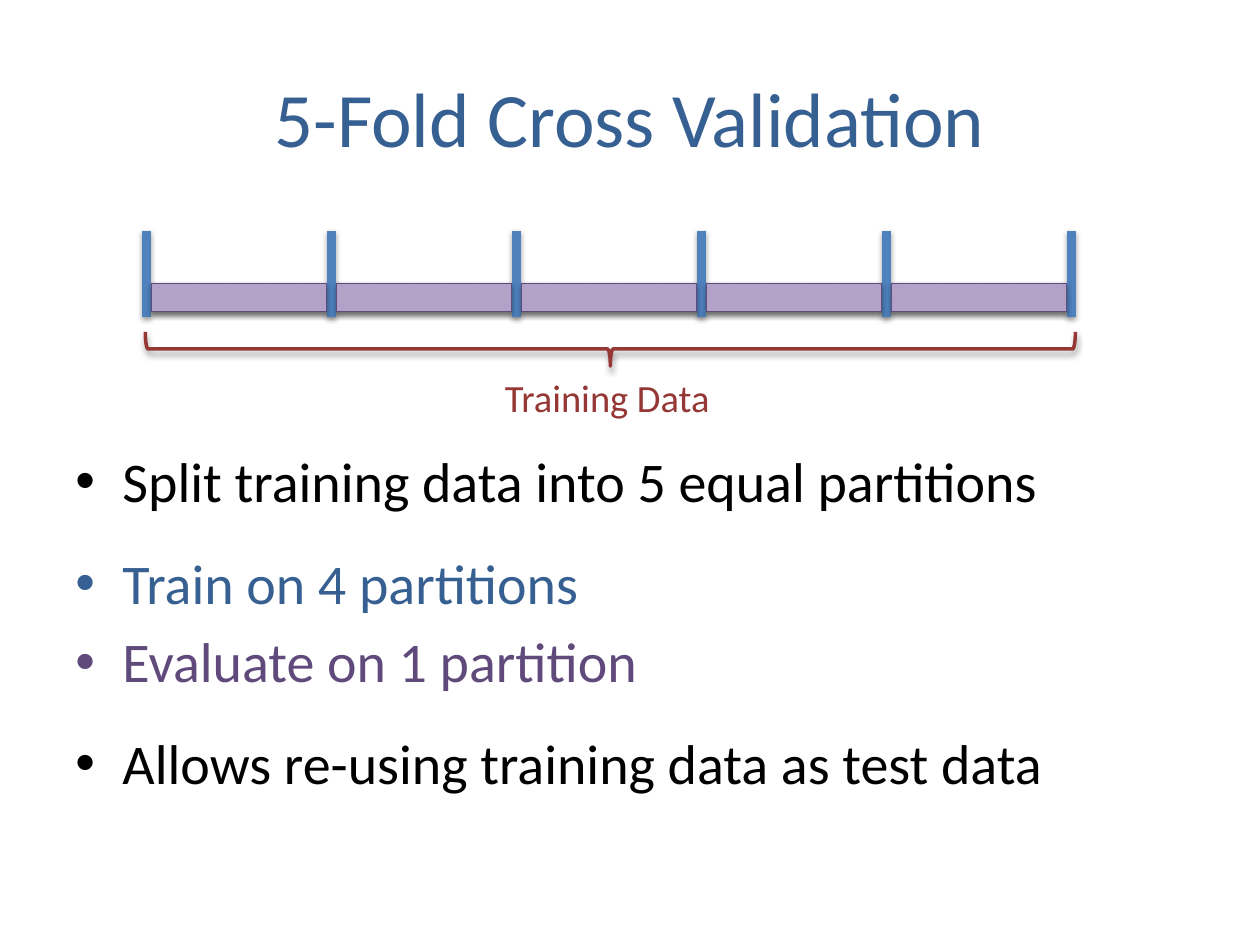
"""Build a slide that explains 5-fold cross validation."""
from dataclasses import dataclass

from lxml import etree
from pptx import Presentation
from pptx.dml.color import RGBColor
from pptx.enum.shapes import MSO_CONNECTOR, MSO_SHAPE
from pptx.enum.text import MSO_ANCHOR, MSO_AUTO_SIZE, PP_ALIGN
from pptx.oxml.ns import qn
from pptx.util import Cm, Pt

RECT, BRACE = MSO_SHAPE.RECTANGLE, MSO_SHAPE.LEFT_BRACE
STRAIGHT = MSO_CONNECTOR.STRAIGHT
LEFT, CENTER = PP_ALIGN.LEFT, PP_ALIGN.CENTER
TOP, MIDDLE = MSO_ANCHOR.TOP, MSO_ANCHOR.MIDDLE
NO_AUTOFIT, GROW = MSO_AUTO_SIZE.NONE, MSO_AUTO_SIZE.SHAPE_TO_FIT_TEXT

FONT = "Calibri"
BLACK = RGBColor(0x00, 0x00, 0x00)
DARK_BLUE = RGBColor(0x37, 0x60, 0x92)
BLUE = RGBColor(0x4F, 0x81, 0xBD)
BAR_LINE = RGBColor(0x4B, 0x7E, 0xBC)
BAR_FILL = RGBColor(0xB9, 0xCD, 0xE5)
PURPLE = RGBColor(0x60, 0x4A, 0x7B)
LIGHT_PURPLE = RGBColor(0xB3, 0xA2, 0xC7)
RED = RGBColor(0x95, 0x37, 0x35)

FOLDS = 5
AXIS_LEFT, FOLD_STEP = 2.95, 3.73
TICK_TOP, TICK_BOTTOM = 4.65, 6.4
BAR_TOP, BAR_HEIGHT = 5.72, 0.56
BAR_GAP, FOLD_WIDTH = 0.1, 3.53


@dataclass
class Box:
    """A rectangle in centimetres."""
    left: float
    top: float
    width: float
    height: float

    def lengths(self) -> tuple:
        """Return the four lengths for python-pptx."""
        return Cm(self.left), Cm(self.top), Cm(self.width), Cm(self.height)


@dataclass
class Para:
    """A paragraph with its colour and the space before it in points."""
    text: str
    color: RGBColor
    before: float = 0


BULLETS = [
    Para("Split training data into 5 equal partitions", BLACK),
    Para("Train on 4 partitions", DARK_BLUE, 19.8),
    Para("Evaluate on 1 partition", PURPLE, 6.4),
    Para("Allows re-using training data as test data", BLACK, 19.8),
]


def add_shadow(shape, opacity: int, distance: float) -> None:
    """Cast a soft black shadow straight down."""
    effects = etree.SubElement(shape.element.spPr, qn("a:effectLst"))
    shadow = etree.SubElement(
        effects, qn("a:outerShdw"), blurRad=str(Pt(3.1)), dist=str(Pt(distance)),
        dir="5400000", rotWithShape="0")
    color = etree.SubElement(shadow, qn("a:srgbClr"), val="000000")
    etree.SubElement(color, qn("a:alpha"), val=str(opacity * 1000))


def add_bullet(p) -> None:
    """Give a paragraph a hanging round bullet."""
    pPr = p._p.get_or_add_pPr()
    pPr.set("marL", str(Cm(0.95)))
    pPr.set("indent", str(Cm(-0.95)))
    etree.SubElement(pPr, qn("a:buFont"), typeface="Arial")
    etree.SubElement(pPr, qn("a:buChar"), char="•")


def add_text(s, box: Box, paras: list[Para], size: float, align=LEFT, anchor=TOP,
             wrap: bool = True, bullets: bool = False, fit=NO_AUTOFIT) -> None:
    """Add a text box with one format for all its paragraphs."""
    tf = s.shapes.add_textbox(*box.lengths()).text_frame
    tf.word_wrap, tf.vertical_anchor, tf.auto_size = wrap, anchor, fit
    for i, para in enumerate(paras):
        p = tf.paragraphs[0] if i == 0 else tf.add_paragraph()
        p.alignment = align
        p.space_before = Pt(para.before)
        if bullets:
            add_bullet(p)
        r = p.add_run()
        r.text = para.text
        r.font.name, r.font.size = FONT, Pt(size)
        r.font.color.rgb = para.color


def add_bar(s, left: float, width: float, fill: RGBColor, line: RGBColor) -> None:
    """Add a bar on the data axis."""
    sp = s.shapes.add_shape(RECT, *Box(left, BAR_TOP, width, BAR_HEIGHT).lengths())
    sp.fill.solid()
    sp.fill.fore_color.rgb = fill
    sp.line.color.rgb, sp.line.width = line, Pt(0.75)
    add_shadow(sp, 35, 1.8)


def add_tick(s, x: float) -> None:
    """Add a thick upright line between partitions."""
    tick = s.shapes.add_connector(STRAIGHT, Cm(x), Cm(TICK_TOP), Cm(x), Cm(TICK_BOTTOM))
    tick.line.color.rgb, tick.line.width = BLUE, Pt(5)
    add_shadow(tick, 38, 1.6)


def add_brace(s, box: Box) -> None:
    """Add a brace turned to open upwards."""
    sp = s.shapes.add_shape(BRACE, *box.lengths())
    sp.rotation = 270
    sp.fill.background()
    sp.line.color.rgb, sp.line.width = RED, Pt(2)
    add_shadow(sp, 38, 1.6)


def main() -> None:
    """Draw the slide and save it."""
    prs = Presentation()
    prs.slide_width, prs.slide_height = Cm(25.4), Cm(19.05)
    s = prs.slides.add_slide(prs.slide_layouts[6])

    add_text(s, Box(1.27, 0.76, 22.86, 3.18),
             [Para("5-Fold Cross Validation", DARK_BLUE)], 44, align=CENTER, anchor=MIDDLE)
    add_text(s, Box(1.27, 8.88, 22.86, 8.14), BULLETS, 32, bullets=True)

    ticks = [AXIS_LEFT + i * FOLD_STEP for i in range(FOLDS + 1)]
    add_bar(s, AXIS_LEFT + BAR_GAP, FOLDS * FOLD_STEP - 2 * BAR_GAP, BAR_FILL, BAR_LINE)
    for x in ticks:
        add_tick(s, x)
    add_text(s, Box(9.93, 7.42, 4.78, 1.19), [Para("Training Data", RED)], 22,
             wrap=False, fit=GROW)
    add_brace(s, Box(11.96, -2.34, 0.69, 18.75))
    for x in ticks[:-1]:
        add_bar(s, x + BAR_GAP, FOLD_WIDTH, LIGHT_PURPLE, PURPLE)

    prs.save("out.pptx")


if __name__ == "__main__":
    main()
